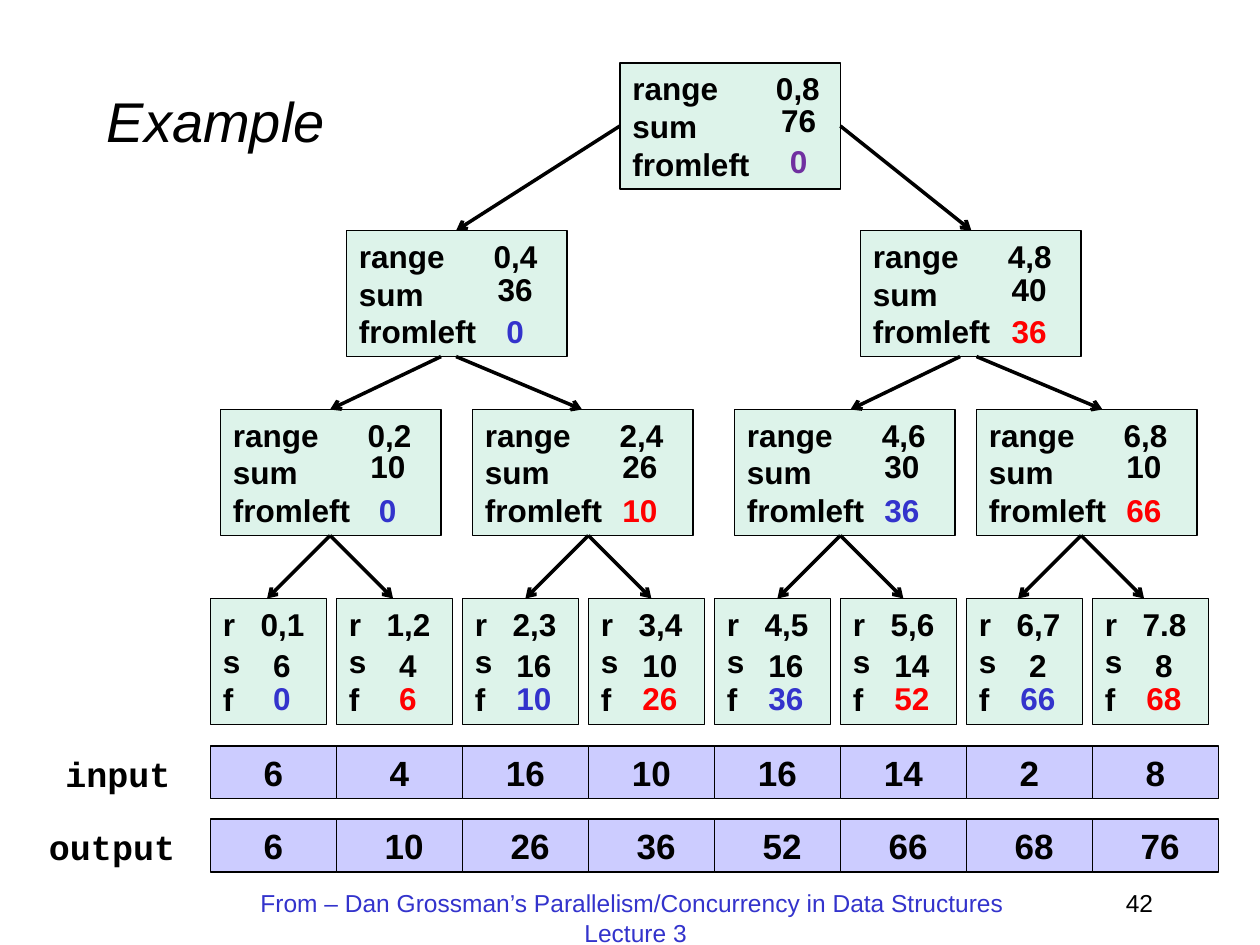
"""Build the prefix-sum tree slide."""
from lxml.etree import SubElement as Sub
from pptx import Presentation
from pptx.dml.color import RGBColor as Rgb
from pptx.enum.shapes import MSO_CONNECTOR as Link, MSO_SHAPE as Kind
from pptx.enum.text import MSO_ANCHOR as Anchor, PP_ALIGN as Align
from pptx.oxml.ns import qn
from pptx.util import Inches as In, Pt

BLACK, BLUE, RED, PLUM = "000000", "3333CC", "FF0000", "7030A0"
MINT, LILAC = "DDF3EA", "CCCCFF"
LEFT, STEP = 1.67, 1
LONG, SHORT = ("range", "sum", "fromleft"), ("r", "s", "f")

LEVELS = [
    dict(top=0.5, wide=1.75, names=LONG, tab=1.14, mid=1.42, drop=(0.25, 0.58),
         nodes=[(4.92, "0,8", "76", "0", PLUM)]),
    dict(top=1.83, wide=1.75, names=LONG, tab=1.07, mid=1.34, drop=(0.26, 0.6),
         nodes=[(2.75, "0,4", "36", "0", BLUE), (6.83, "4,8", "40", "36", RED)]),
    dict(top=3.25, wide=1.75, names=LONG, tab=1.07, mid=1.33, drop=(0.25, 0.6),
         nodes=[(1.75, "0,2", "10", "0", BLUE), (3.75, "2,4", "26", "10", RED),
                (5.83, "4,6", "30", "36", BLUE), (7.75, "6,8", "10", "66", RED)]),
    dict(top=4.75, wide=0.92, names=SHORT, tab=0.3, mid=0.57, drop=(0.33, 0.59),
         nodes=[(LEFT + i * STEP, *leaf) for i, leaf in enumerate([
             ("0,1", "6", "0", BLUE), ("1,2", "4", "6", RED),
             ("2,3", "16", "10", BLUE), ("3,4", "10", "26", RED),
             ("4,5", "16", "36", BLUE), ("5,6", "14", "52", RED),
             ("6,7", "2", "66", BLUE), ("7.8", "8", "68", RED)])]),
]
EDGES = [
    (1, 1.83, [(4.92, 3.62), (6.67, 7.71)]),
    (2.83, 3.25, [(3.5, 2.62), (3.62, 4.62), (7.62, 6.75), (7.75, 8.75)]),
    (4.25, 4.75, [(x, x + d) for x in (2.62, 4.67, 6.67, 8.58) for d in (-0.5, 0.5)]),
]
ROWS = [
    (5.92, "input", 0.42, 1.04, ["6", "4", "16", "10", "16", "14", "2", "8"]),
    (6.5, "output", 0.29, 1.21,
     ["6", " 10", " 26", " 36", " 52", " 66", " 68", " 76"]),
]
FOOT = ["From – Dan Grossman’s Parallelism/Concurrency in Data Structures ", "Lecture 3"]

deck = Presentation()
deck.slide_width, deck.slide_height = In(10), In(7.5)
slide = deck.slides.add_slide(deck.slide_layouts[6])
shapes = slide.shapes


def rgb(code):
    return Rgb.from_string(code)


def style(run, size, color=BLACK, bold=True, font="Arial", slant=False):
    run.font.size, run.font.name = Pt(size), font
    run.font.bold, run.font.italic = bold, slant
    run.font.color.rgb = rgb(color)


def label(x, y, w, h, lines, size, align=Align.LEFT, wrap=False,
          anchor=Anchor.TOP, **look):
    frame = shapes.add_textbox(In(x), In(y), In(w), In(h)).text_frame
    frame.word_wrap, frame.vertical_anchor = wrap, anchor
    para = frame.paragraphs[0]
    para.alignment = align
    for i, line in enumerate(lines):
        if i:
            para.add_line_break()
        run = para.add_run()
        run.text = line
        style(run, size, **look)


def box(x, y, w, h, fill, lines, size, align, anchor, wrap, tab=None):
    shape = shapes.add_shape(Kind.RECTANGLE, In(x), In(y), In(w), In(h))
    shape.shadow.inherit = False
    shape.fill.solid()
    shape.fill.fore_color.rgb = rgb(fill)
    shape.line.color.rgb, shape.line.width = rgb(BLACK), Pt(0.75)
    frame = shape.text_frame
    frame.word_wrap, frame.vertical_anchor = wrap, anchor
    for i, line in enumerate(lines):
        para = frame.add_paragraph() if i else frame.paragraphs[0]
        para.alignment = align
        if tab:
            stops = Sub(para._p.get_or_add_pPr(), qn("a:tabLst"))
            Sub(stops, qn("a:tab"), pos=str(In(tab)), algn="l")
        run = para.add_run()
        run.text = line
        style(run, size)


def arrow(x, y, to_x, to_y):
    link = shapes.add_connector(Link.STRAIGHT, In(x), In(y), In(to_x), In(to_y))
    link.line.color.rgb, link.line.width = rgb(BLACK), Pt(2)
    Sub(link.line._get_or_add_ln(), qn("a:tailEnd"), type="arrow")
    Sub(link._element.spPr, qn("a:effectLst"))


label(0.75, 0.33, 8.5, 1.25, ["Example"], 32, wrap=True, anchor=Anchor.MIDDLE,
      bold=False, slant=True)
label(7.17, 7, 2.08, 0.5, ["42"], 14, Align.RIGHT, True, bold=False)

for y, name, x, w, cells in ROWS:
    label(x, y, w, 0.44, [name], 20, font="Courier New")
    for i, cell in enumerate(cells):
        box(LEFT + i * STEP, y, STEP, 0.42, LILAC, [cell], 20,
            Align.CENTER, Anchor.MIDDLE, False)

for lev in LEVELS:
    y, (first, *rest) = lev["top"], lev["names"]
    for x, span, *_ in lev["nodes"]:
        box(x, y, lev["wide"], 1, MINT, [f"{first}\t{span}", *rest], 18,
            Align.LEFT, Anchor.TOP, True, lev["tab"])

for y, to_y, pairs in EDGES:
    for x, to_x in pairs:
        arrow(x, y, to_x, to_y)

for lev in LEVELS:
    for x, _, total, before, color in lev["nodes"]:
        for text, drop, ink in zip((total, before), lev["drop"], (BLACK, color)):
            w = 0.2 + 0.14 * len(text)
            label(x + lev["mid"] - w / 2, lev["top"] + drop, w, 0.4, [text], 18,
                  color=ink)

label(1.92, 7, 6.25, 0.5, FOOT, 14, Align.CENTER, True, color=BLUE, bold=False)
deck.save("out.pptx")
